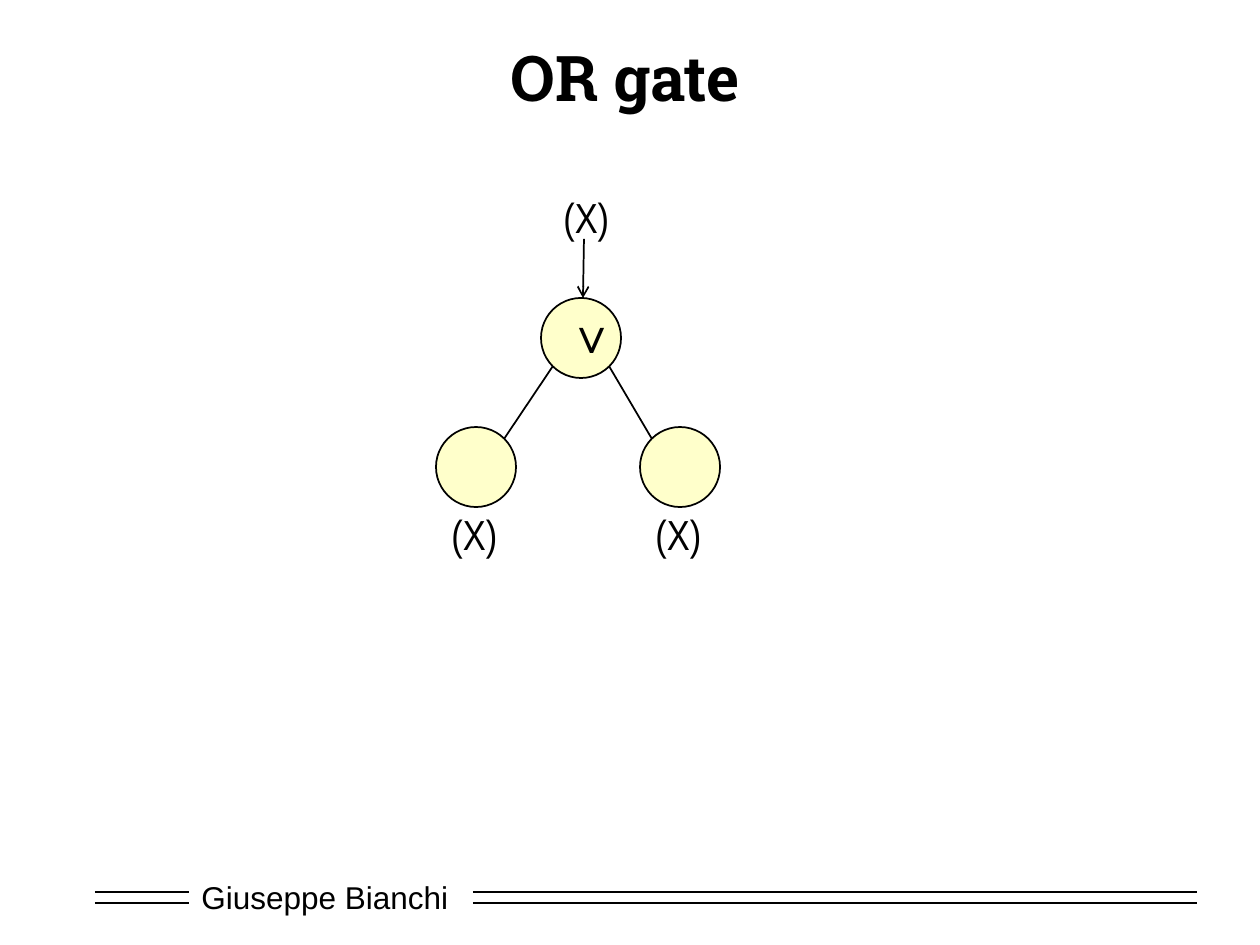
from lxml import etree
from pptx import Presentation
from pptx import util as u
from pptx.dml.color import RGBColor
from pptx.enum import shapes, text
from pptx.oxml.ns import qn

SCALE = 914400 / 126
BLACK, WHITE, YELLOW = "000000", "FFFFFF", "FFFF99"
NODE = 80
DIAGONAL = 28  # offset from a node's centre to its outline at 45 degrees


def px(n):
    return u.Emu(round(n * SCALE))


def rgb(value):
    return RGBColor.from_string(value)


def add_run(p, words, size, font, bold=False):
    r = p.add_run()
    r.text = words
    r.font.size = u.Pt(size)
    r.font.name = font
    r.font.bold = bold
    r.font.color.rgb = rgb(BLACK)


def add_label(s, x, y, w, h, words, size, font, bold=False):
    sp = s.shapes.add_textbox(px(x), px(y), px(w), px(h))
    sp.text_frame.word_wrap = False
    add_run(sp.text_frame.paragraphs[0], words, size, font, bold)
    return sp


def add_line(s, x1, y1, x2, y2, arrow=False):
    cxn = s.shapes.add_connector(shapes.MSO_CONNECTOR.STRAIGHT,
                                 px(x1), px(y1), px(x2), px(y2))
    cxn.line.color.rgb = rgb(BLACK)
    cxn.line.width = u.Pt(1)
    if arrow:
        etree.SubElement(cxn.line._get_or_add_ln(), qn("a:tailEnd"), type="arrow")
    etree.SubElement(cxn._element.spPr, qn("a:effectLst"))


def add_node(s, cx, cy):
    sp = s.shapes.add_shape(shapes.MSO_SHAPE.OVAL, px(cx - NODE / 2),
                            px(cy - NODE / 2), px(NODE), px(NODE))
    sp.shadow.inherit = False
    sp.fill.solid()
    sp.fill.fore_color.rgb = rgb(YELLOW)
    color = sp._element.spPr.find(qn("a:solidFill"))[0]
    etree.SubElement(color, qn("a:alpha"), val="50000")
    sp.line.color.rgb = rgb(BLACK)
    sp.line.width = u.Pt(1)


def add_title(s, x, y, w, h):
    sp = s.shapes.title
    sp.left, sp.top, sp.width, sp.height = px(x), px(y), px(w), px(h)
    tf = sp.text_frame
    tf.vertical_anchor = text.MSO_ANCHOR.MIDDLE
    p = tf.paragraphs[0]
    p.alignment = text.PP_ALIGN.CENTER
    add_run(p, "OR gate", 36, "Roboto Slab", True)


def add_gate(s, x, y):
    """Draw the gate tree with its top-left corner at x, y."""
    root_x, root_y = x + 145, y + 153
    child_y = root_y + 129
    add_node(s, root_x, root_y)
    add_label(s, root_x - 26, root_y - 40, 55, 72, "∨", 28, "Arial Narrow", True)
    add_line(s, root_x + 3, y + 54, root_x + 2, root_y - NODE / 2, arrow=True)
    add_label(s, root_x - 30, y, 72, 63, "(X)", 24, "Arial Narrow")
    for side, child_x in ((-1, x + 40), (1, x + 244)):
        add_node(s, child_x, child_y)
        add_line(s, root_x + side * DIAGONAL, root_y + DIAGONAL,
                 child_x - side * DIAGONAL, child_y - DIAGONAL)
        add_label(s, child_x - 37, child_y + 35, 72, 64, "(X)", 24, "Arial Narrow")


def add_footer(s, x, y, w):
    sp = add_label(s, x + 94, y, 273, 50, "Giuseppe Bianchi", 18, "Arial")
    sp.text_frame.word_wrap = True
    sp.text_frame.vertical_anchor = text.MSO_ANCHOR.MIDDLE
    sp.fill.solid()
    sp.fill.fore_color.rgb = rgb(WHITE)
    for line_y in (y + 20, y + 31):
        add_line(s, x, line_y, x + 94, line_y)
        add_line(s, x + 378, line_y, x + w, line_y)


def main():
    prs = Presentation()
    prs.slide_width, prs.slide_height = px(1260), px(945)
    s = prs.slides.add_slide(prs.slide_layouts[5])
    add_footer(s, 95, 872, 1102)
    add_title(s, 95, 32, 1061, 89)
    add_gate(s, 436, 185)
    prs.save("out.pptx")


if __name__ == "__main__":
    main()
